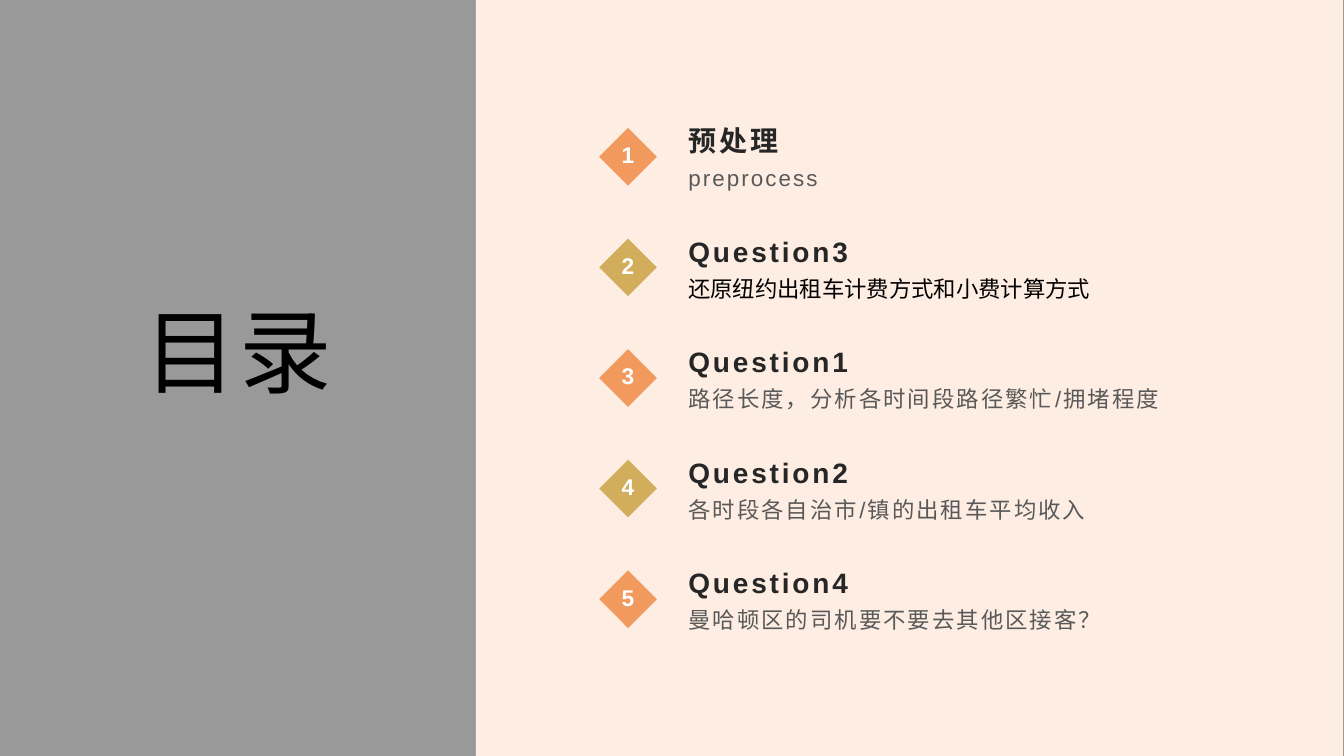
"""Builds the contents slide with five numbered topics."""
import itertools
import pptx
import pptx.util
import pptx.dml.color
import pptx.enum.shapes
import pptx.enum.text
import pptx.oxml
import pptx.oxml.ns
from dataclasses import dataclass

Pt = pptx.util.Pt
Shape = pptx.enum.shapes.MSO_SHAPE
Anchor = pptx.enum.text.MSO_ANCHOR
Align = pptx.enum.text.PP_ALIGN


@dataclass(frozen=True)
class Theme:
    """Colours, font and type sizes."""
    font: str = "Arial"
    black: str = "000000"
    white: str = "FFFFFF"
    panel: str = "FDEDE2"
    orange: str = "F2995D"
    gold: str = "D1AD5C"
    dark: str = "262626"
    grey: str = "595959"
    title: float = 66
    head: float = 20
    note: float = 16
    num: float = 16.2


theme = Theme()
HEADING = "目录"
TOPICS = [
    ("预处理", "preprocess", theme.grey, 1.5),
    ("Question3", "还原纽约出租车计费方式和小费计算方式", theme.black, 0),
    ("Question1", "路径长度，分析各时间段路径繁忙/拥堵程度", theme.grey, 1.5),
    ("Question2", "各时段各自治市/镇的出租车平均收入", theme.grey, 1.5),
    ("Question4", "曼哈顿区的司机要不要去其他区接客？", theme.grey, 1.5),
]
WIDE, HIGH = 960, 540
SPLIT = 340
FIRST, STEP = 80.6, 79
MARK, SIDE = 428, 41.2
LEFT, SPAN = 484.6, 388


def rgb(code):
    """Turn a hex code into a colour."""
    return pptx.dml.color.RGBColor.from_string(code)


def block(slide, kind, box, color, alpha=None):
    """Add a plain filled shape."""
    shape = slide.shapes.add_shape(kind, *map(Pt, box))
    shape.shadow.inherit = False
    shape.fill.solid()
    shape.fill.fore_color.rgb = rgb(color)
    shape.line.fill.background()
    if alpha is not None:
        tint = shape.fill._xPr.find(".//" + pptx.oxml.ns.qn("a:srgbClr"))
        xml = f'<a:alpha {pptx.oxml.ns.nsdecls("a")} val="{alpha * 1000}"/>'
        tint.append(pptx.oxml.parse_xml(xml))


def write(shape, text, size, color, bold=False, gap=0, align=Align.LEFT,
          anchor=Anchor.TOP, pad=(3.6, 3.6)):
    """Fill a shape with one styled paragraph."""
    frame = shape.text_frame
    frame.word_wrap = True
    frame.auto_size = pptx.enum.text.MSO_AUTO_SIZE.NONE
    frame.vertical_anchor = anchor
    frame.margin_top, frame.margin_bottom = map(Pt, pad)
    para = frame.paragraphs[0]
    para.text = text
    para.alignment = align
    font = para.font
    font.name, font.size, font.bold = theme.font, Pt(size), bold
    font.color.rgb = rgb(color)
    if gap:
        font._element.set("spc", str(int(gap * 100)))


def label(slide, box, *args, **style):
    """Add a text box with one styled paragraph."""
    write(slide.shapes.add_textbox(*map(Pt, box)), *args, **style)


def main():
    """Lay out the panels, the title and the topics."""
    deck = pptx.Presentation()
    deck.slide_width, deck.slide_height = Pt(WIDE), Pt(HIGH)
    slide = deck.slides.add_slide(deck.slide_layouts[5])

    block(slide, Shape.RECTANGLE, (0, 0, WIDE, HIGH), theme.black, 40)
    block(slide, Shape.RECTANGLE, (SPLIT, 0, 619.2, HIGH), theme.panel)

    title = slide.shapes.title
    title.left, title.top, title.width, title.height = map(
        Pt, (70, 200, 200, 100))
    write(title, HEADING, theme.title, theme.black, gap=2,
          align=Align.CENTER, anchor=Anchor.MIDDLE)
    slide.shapes._spTree.append(title._element)

    fills = itertools.cycle((theme.orange, theme.gold))
    for row, ((head, note, tone, gap), fill) in enumerate(zip(TOPICS, fills)):
        top = FIRST + row * STEP
        block(slide, Shape.DIAMOND, (MARK, top + 10.8, SIDE, SIDE), fill)
        label(slide, (LEFT, top, SPAN, 31.7), head, theme.head, theme.dark,
              bold=True, gap=2, anchor=Anchor.BOTTOM, pad=(3.6, 0))
        label(slide, (LEFT, top + 33.6, SPAN, 28.8), note, theme.note, tone,
              gap=gap, anchor=Anchor.MIDDLE, pad=(0, 3.6))
        label(slide, (MARK + 8, top + 16.6, 25.2, 29.5), str(row + 1),
              theme.num, theme.white, bold=True, align=Align.CENTER)

    deck.save("out.pptx")


if __name__ == "__main__":
    main()
